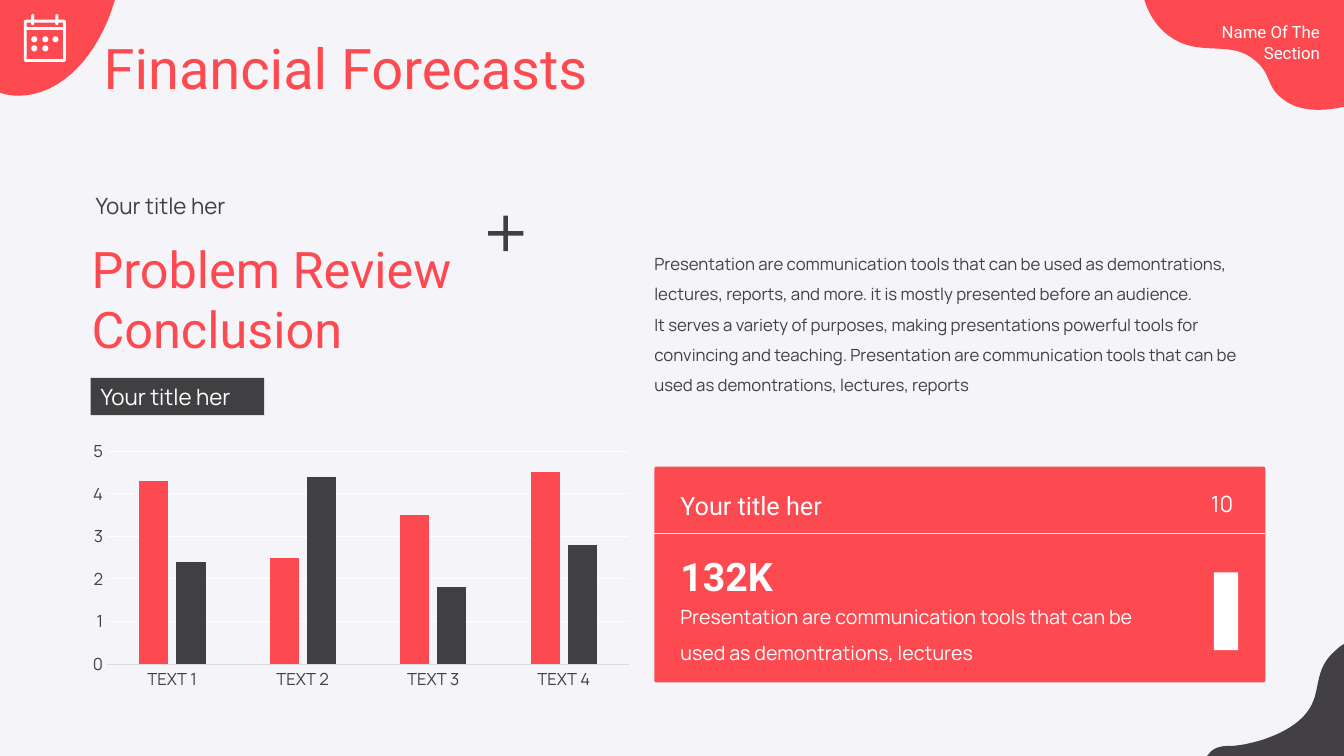
from lxml import etree
from pptx import Presentation
from pptx.chart.data import CategoryChartData
from pptx.dml.color import RGBColor
from pptx.enum.chart import XL_CHART_TYPE, XL_TICK_MARK
from pptx.enum.shapes import MSO_CONNECTOR, MSO_SHAPE as SHAPE
from pptx.enum.text import MSO_ANCHOR, MSO_AUTO_SIZE, PP_ALIGN
from pptx.oxml.ns import qn
from pptx.util import Inches, Pt

RED, DARK, GREY, WHITE = "FD4A51", "404043", "404040", "FFFFFF"
HEAD, BODY = "Roboto", "Manrope"
STEPS = 16  # straight pieces per curve

# Corner blobs: a start point, then cubic curves (two controls and an end)
TOP_LEFT = [(1.14, 0), [(0.98, 0.55), (0.61, 0.95), (0.18, 0.95)],
            [(0.12, 0.95), (0.06, 0.94), (0, 0.92)]]
TOP_RIGHT = [(13.33, 1.06), [(13.14, 1.1), (12.89, 1.12), (12.72, 0.98)],
             [(12.56, 0.86), (12.61, 0.74), (12.46, 0.61)],
             [(12.21, 0.38), (11.9, 0.58), (11.6, 0.36)],
             [(11.47, 0.27), (11.39, 0.13), (11.35, 0)]]
BOTTOM_RIGHT = [(11.97, 7.5), [(11.97, 7.5), (11.98, 7.49), (11.99, 7.48)],
                [(12.05, 7.39), (12.19, 7.4), (12.22, 7.4)],
                [(12.4, 7.39), (12.79, 7.29), (12.96, 7.07)],
                [(13.12, 6.87), (13.01, 6.65), (13.25, 6.45)],
                [(13.28, 6.42), (13.31, 6.4), (13.33, 6.39)]]


def rgb(color):
    return RGBColor.from_string(color)


def paint(sp, fill):
    sp.shadow.inherit = False
    sp.fill.solid()
    sp.fill.fore_color.rgb = rgb(fill)
    sp.line.fill.background()


def set_font(font, size, color, name, bold=False):
    font.size, font.name, font.bold = Pt(size), name, bold
    font.color.rgb = rgb(color)


def add_box(s, kind, x, y, w, h, fill, adj=None):
    sp = s.shapes.add_shape(kind, Inches(x), Inches(y), Inches(w), Inches(h))
    paint(sp, fill)
    if adj is not None:
        sp.adjustments[0] = adj
    return sp


def add_line(s, x1, y1, x2, y2, color, width):
    line = s.shapes.add_connector(MSO_CONNECTOR.STRAIGHT, Inches(x1), Inches(y1),
                                  Inches(x2), Inches(y2))
    line.line.color.rgb = rgb(color)
    line.line.width = Pt(width)
    etree.SubElement(line._element.spPr, qn("a:effectLst"))


def add_blob(s, outline, corner, fill):
    points = [outline[0]]
    for curve in outline[1:]:
        bezier = [points[-1], *curve]
        for i in range(1, STEPS + 1):
            t = i / STEPS
            weights = ((1 - t) ** 3, 3 * t * (1 - t) ** 2, 3 * t * t * (1 - t), t ** 3)
            points.append(tuple(sum(k * pt[axis] for k, pt in zip(weights, bezier))
                                for axis in (0, 1)))
    start, *rest = [(Inches(x), Inches(y)) for x, y in points + [corner]]
    builder = s.shapes.build_freeform(*start)
    builder.add_line_segments(rest, close=True)
    paint(builder.convert_to_shape(), fill)


def write(tf, paragraphs, size, color, font, spacing=None, align=PP_ALIGN.LEFT, bold=False):
    tf.word_wrap = True
    tf.auto_size = MSO_AUTO_SIZE.SHAPE_TO_FIT_TEXT
    for i, text in enumerate(paragraphs):
        p = tf.add_paragraph() if i else tf.paragraphs[0]
        p.text, p.alignment = text, align
        if spacing:
            p.line_spacing = spacing
        set_font(p.font, size, color, font, bold)


def add_text(s, x, y, w, h, text, size, color, font, **style):
    tf = s.shapes.add_textbox(Inches(x), Inches(y), Inches(w), Inches(h)).text_frame
    write(tf, [text] if isinstance(text, str) else text, size, color, font, **style)
    return tf


def add_calendar(s):
    frame = add_box(s, SHAPE.ROUNDED_RECTANGLE, 0.25, 0.21, 0.39, 0.39, WHITE, 0.02)
    frame.fill.background()
    frame.line.color.rgb = rgb(WHITE)
    frame.line.width = Pt(2)
    add_line(s, 0.25, 0.28, 0.64, 0.28, WHITE, 2)
    for x in (0.31, 0.55):
        add_box(s, SHAPE.ROUNDED_RECTANGLE, x, 0.14, 0.03, 0.11, WHITE, 0.5)
    for x, y in ((0.31, 0.36), (0.42, 0.36), (0.52, 0.36), (0.31, 0.45), (0.42, 0.45)):
        add_box(s, SHAPE.OVAL, x, y, 0.06, 0.06, WHITE)


def add_column_chart(s):
    data = CategoryChartData()
    data.categories = [f"TEXT {i}" for i in range(1, 5)]
    data.add_series("Series 1", (4.3, 2.5, 3.5, 4.5))
    data.add_series("Series 2", (2.4, 4.4, 1.8, 2.8))
    chart = s.shapes.add_chart(XL_CHART_TYPE.COLUMN_CLUSTERED, Inches(0.81), Inches(4.31),
                               Inches(5.54), Inches(2.6), data).chart
    chart.has_legend = chart.has_title = False
    set_font(chart.font, 10, GREY, BODY)
    plot = chart.plots[0]
    plot.gap_width, plot.overlap, plot.vary_by_categories = 219, -27, False
    for series, color in zip(plot.series, (RED, DARK)):
        series.format.fill.solid()
        series.format.fill.fore_color.rgb = rgb(color)
    for axis in (chart.category_axis, chart.value_axis):
        axis.major_tick_mark = axis.minor_tick_mark = XL_TICK_MARK.NONE
        set_font(axis.tick_labels.font, 11.9, GREY, BODY)
    values = chart.value_axis
    values.minimum_scale, values.maximum_scale, values.major_unit = 0, 5, 1
    values.format.line.fill.background()
    for line, color in ((chart.category_axis.format.line, "D9D9D9"),
                        (values.major_gridlines.format.line, WHITE)):
        line.color.rgb = rgb(color)
        line.width = Pt(0.75)


def main():
    prs = Presentation()
    prs.slide_width, prs.slide_height = Inches(13.33), Inches(7.5)
    s = prs.slides.add_slide(prs.slide_layouts[6])
    s.background.fill.solid()
    s.background.fill.fore_color.rgb = rgb("F5F5F9")

    # Corners and header
    add_blob(s, TOP_RIGHT, (13.33, 0), RED)
    add_blob(s, BOTTOM_RIGHT, (13.33, 7.5), "434043")
    add_blob(s, TOP_LEFT, (0, 0), RED)
    add_calendar(s)
    add_text(s, 11.67, 0.17, 1.52, 0.5, "Name Of The Section", 12, WHITE, HEAD,
             align=PP_ALIGN.RIGHT)
    add_text(s, 0.93, 0.28, 8.39, 0.77, "Financial Forecasts", 40, RED, HEAD)

    # Red figure card
    add_box(s, SHAPE.ROUNDED_RECTANGLE, 6.49, 4.63, 6.06, 2.14, RED, 0.009)
    add_line(s, 6.49, 5.29, 12.55, 5.29, "F2F2F2", 0.5)
    add_text(s, 6.65, 4.76, 3.16, 0.44, "Your title her", 18, WHITE, HEAD, spacing=1.2)
    add_text(s, 6.65, 5.34, 2.4, 0.63, "132K", 28, WHITE, HEAD, spacing=1.2, bold=True)
    add_text(s, 6.65, 5.84, 5.1, 0.77,
             "Presentation are communication tools that can be used as demontrations, lectures",
             14, WHITE, BODY, spacing=1.5)
    add_box(s, SHAPE.RECTANGLE, 12.04, 5.68, 0.24, 0.77, WHITE)
    add_text(s, 11.75, 4.76, 0.58, 0.4, "10", 16, WHITE, BODY, spacing=1.2,
             align=PP_ALIGN.RIGHT)

    # Left heading and label
    add_text(s, 0.81, 2.31, 4.59, 1.31, "Problem Review Conclusion", 36, RED, HEAD)
    add_text(s, 0.85, 1.86, 3.33, 0.37, "Your title her", 16, DARK, BODY)
    label = add_box(s, SHAPE.RECTANGLE, 0.9, 3.75, 1.72, 0.37, DARK).text_frame
    label.vertical_anchor = MSO_ANCHOR.TOP
    write(label, ["Your title her"], 16, WHITE, BODY)
    add_box(s, SHAPE.CROSS, 4.84, 2.14, 0.35, 0.35, DARK, 0.438)

    # Body text
    tf = add_text(s, 6.49, 2.37, 6.06, 1.58, [
        "Presentation are communication tools that can be used as demontrations, lectures, "
        "reports, and more. it is mostly presented before an audience.",
        "It serves a variety of purposes, making presentations powerful tools for convincing "
        "and teaching. Presentation are communication tools that can be used as "
        "demontrations, lectures, reports"], 12, GREY, BODY, spacing=1.5)
    tf.margin_left = tf.margin_right = 0

    add_column_chart(s)
    prs.save("out.pptx")


if __name__ == "__main__":
    main()
